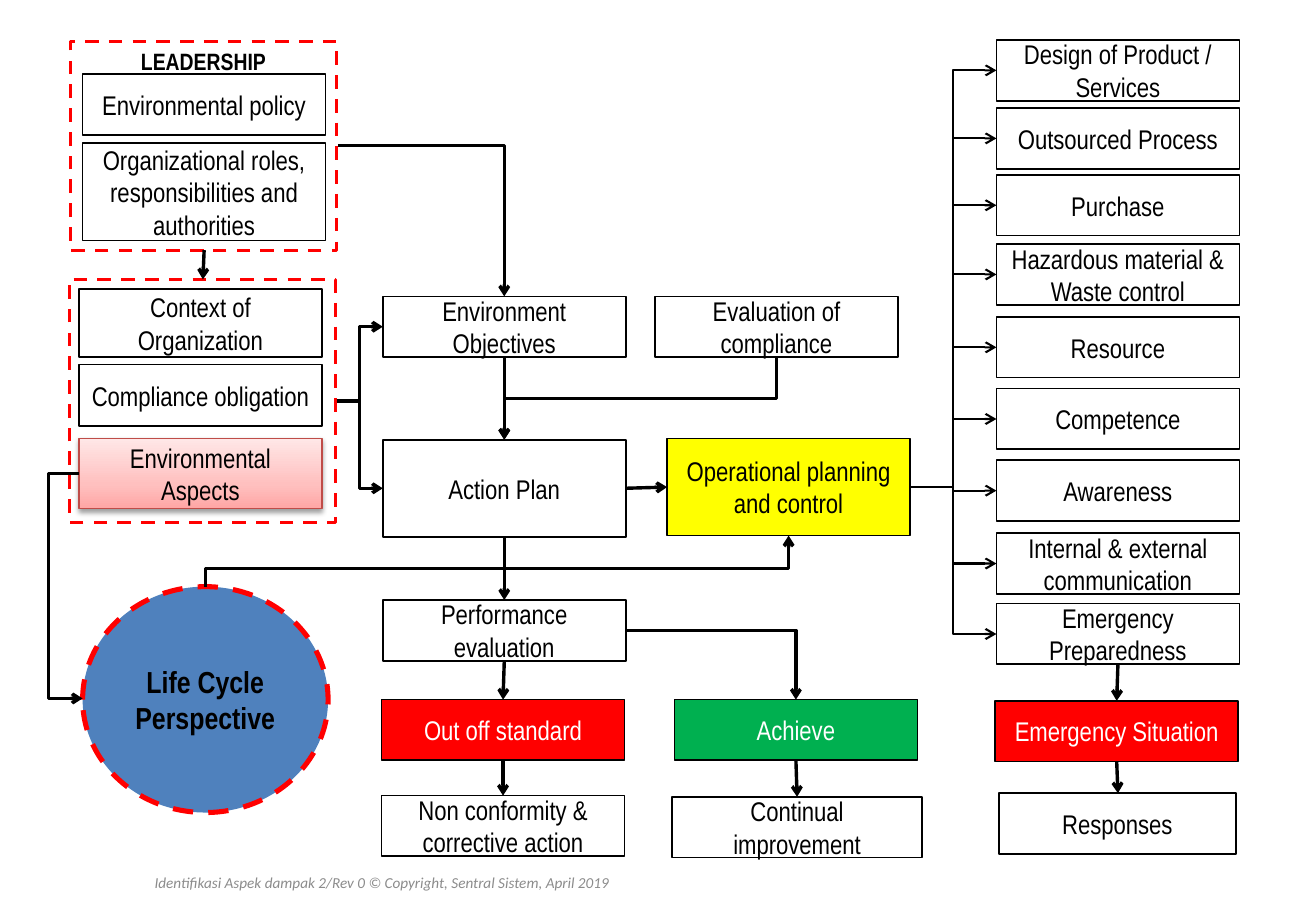
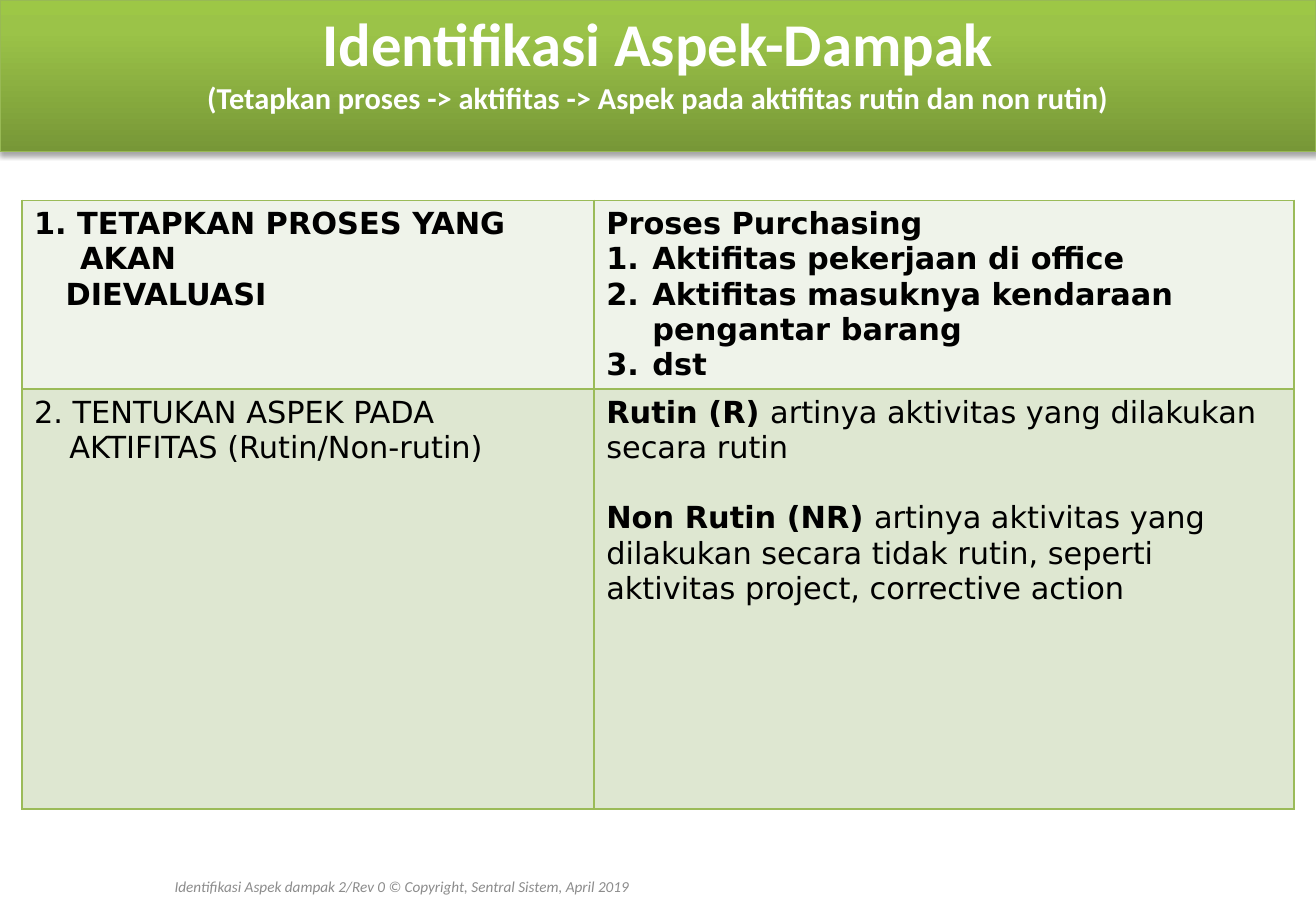
from lxml import etree
from pptx import Presentation
from pptx import util as u
from pptx.dml import color
from pptx.enum import dml, shapes, text
from pptx.oxml import ns

IN = u.Inches
FLOW = "Arial Narrow"
HEAD = "Calibri"
GRID = "DejaVu Sans"
BLACK, WHITE, RED, GREEN = "000000", "FFFFFF", "FF0000", "9BBB59"


def rgb(code):
    return color.RGBColor.from_string(code)


def sub(node, tag, **attrs):
    """Append a DrawingML child and return it."""
    child = etree.SubElement(node, ns.qn("a:" + tag))
    for key, value in attrs.items():
        child.set(key, str(value))
    return child


class Deck:
    def __init__(self):
        self.prs = Presentation()
        self.prs.slide_width, self.prs.slide_height = IN(10.83), IN(7.5)
        self.slide = None

    def page(self, layout):
        self.slide = self.prs.slides.add_slide(self.prs.slide_layouts[layout])

    def font(self, runs, face, size, ink=BLACK, bold=False, italic=False):
        for run in runs:
            font = run.font
            font.name, font.size = face, u.Pt(size)
            font.bold, font.italic = bold, italic
            font.color.rgb = rgb(ink)

    def edge(self, shape, ink=BLACK, width=1, dash=False):
        shape.line.color.rgb = rgb(ink)
        shape.line.width = u.Pt(width)
        if dash:
            shape.line.dash_style = dml.MSO_LINE.DASH

    def glow(self, shape, stops, alpha, dist):
        """Upward gradient with a soft shadow below."""
        shape.fill.gradient()
        shape.fill.gradient_angle = 90
        props = shape.element.spPr
        ramp = props.find(".//" + ns.qn("a:gsLst"))
        for old in list(ramp):
            ramp.remove(old)
        for pos, code in stops:
            sub(sub(ramp, "gs", pos=pos * 1000), "srgbClr", val=code)
        shape.shadow.inherit = False
        cast = sub(props.find(ns.qn("a:effectLst")), "outerShdw",
                   blurRad=u.Pt(3.1), dist=u.Pt(dist), dir=5400000, rotWithShape=0)
        sub(sub(cast, "srgbClr", val=BLACK), "alpha", val=alpha * 1000)

    def box(self, words, x, y, w=2, h=0.5, fill=None, ink=BLACK, size=16, bold=False,
            line=(BLACK, 1), kind=shapes.MSO_SHAPE.RECTANGLE, top=False):
        shape = self.slide.shapes.add_shape(kind, IN(x), IN(y), IN(w), IN(h))
        shape.shadow.inherit = False
        if fill:
            shape.fill.solid()
            shape.fill.fore_color.rgb = rgb(fill)
        else:
            shape.fill.background()
        self.edge(shape, *line)
        frame = shape.text_frame
        frame.word_wrap = True
        frame.vertical_anchor = text.MSO_ANCHOR.TOP if top else text.MSO_ANCHOR.MIDDLE
        frame.text = words
        para = frame.paragraphs[0]
        para.alignment = text.PP_ALIGN.CENTER
        self.font(para.runs, FLOW, size, ink, bold)
        return shape

    def arrow(self, start, end, kind="line", adj=0.5, width=2):
        """kind: line, side (across-down-across), drop (down-across-down), turn (across-down)."""
        (x1, y1), (x2, y2) = start, end
        if kind == "drop":
            # The same elbow, turned a quarter about its centre
            cx, cy = (x1 + x2) / 2, (y1 + y2) / 2
            x1, y1, x2, y2 = cx + y1 - cy, cy - x1 + cx, cx + y2 - cy, cy - x2 + cx
        form = shapes.MSO_CONNECTOR.STRAIGHT if kind == "line" else shapes.MSO_CONNECTOR.ELBOW
        link = self.slide.shapes.add_connector(form, IN(x1), IN(y1), IN(x2), IN(y2))
        props = link.element.spPr
        geom = props.find(ns.qn("a:prstGeom"))
        if kind == "drop":
            props.find(ns.qn("a:xfrm")).set("rot", "5400000")
        if kind == "turn":
            geom.set("prst", "bentConnector2")
        elif adj != 0.5:
            guides = geom.find(ns.qn("a:avLst"))
            if guides is None:
                guides = sub(geom, "avLst")
            sub(guides, "gd", name="adj1", fmla=f"val {round(adj * 100000)}")
        self.edge(link, BLACK, width)
        sub(props.find(ns.qn("a:ln")), "tailEnd", type="arrow")
        sub(props, "effectLst")

    def title(self, head, note):
        band = self.slide.shapes.title
        band.left, band.top, band.width, band.height = IN(0), IN(0), IN(10.83), IN(1.25)
        self.edge(band, "98B955", 0.75)
        self.glow(band, [(0, "779737"), (80, "9BC348"), (100, "9DC746")], 35, 1.8)
        frame = band.text_frame
        frame.auto_size = text.MSO_AUTO_SIZE.NONE
        frame.vertical_anchor = text.MSO_ANCHOR.TOP
        frame.text = f"{head}\n{note}"
        for para, size in zip(frame.paragraphs, (36, 18)):
            para.alignment = text.PP_ALIGN.CENTER
            self.font(para.runs, HEAD, size, WHITE, True)

    def foot(self, x, y, w, h):
        area = self.slide.shapes.add_textbox(IN(x), IN(y), IN(w), IN(h))
        frame = area.text_frame
        frame.word_wrap = True
        frame.vertical_anchor = text.MSO_ANCHOR.MIDDLE
        frame.text = "Identifikasi Aspek dampak 2/Rev 0 © Copyright, Sentral Sistem, April 2019"
        para = frame.paragraphs[0]
        para.alignment = text.PP_ALIGN.CENTER
        self.font(para.runs, HEAD, 9, "8C8C8C", italic=True)

    def cell(self, cell, fill, paras):
        """paras: (runs of (words, bold), left indent, hanging, numbered, space before)."""
        cell.fill.solid()
        cell.fill.fore_color.rgb = rgb(fill)
        props = cell._tc.get_or_add_tcPr()
        for spot, tag in enumerate(("lnL", "lnR", "lnT", "lnB")):
            rule = etree.Element(ns.qn("a:" + tag), w=str(u.Pt(1)))
            sub(sub(rule, "solidFill"), "srgbClr", val=GREEN)
            props.insert(spot, rule)
        frame = cell.text_frame
        for spot, (runs, left, hang, number, gap) in enumerate(paras):
            para = frame.add_paragraph() if spot else frame.paragraphs[0]
            style = para._p.get_or_add_pPr()
            style.set("marL", str(IN(left)))
            style.set("indent", str(-IN(hang)))
            if number:
                sub(style, "buAutoNum", type="arabicPeriod")
            if gap:
                para.space_before = u.Pt(gap)
            for words, bold in runs:
                run = para.add_run()
                run.text = words
                self.font([run], GRID, 18, BLACK, bold)

    def table(self, x, y, cols, rows, fills, cells):
        grid = self.slide.shapes.add_table(len(rows), len(cols), IN(x), IN(y),
                                           IN(sum(cols)), IN(sum(rows))).table
        grid.first_row = grid.horz_banding = False
        for col, width in zip(grid.columns, cols):
            col.width = IN(width)
        for r, high in enumerate(rows):
            grid.rows[r].height = IN(high)
            for c, paras in enumerate(cells[r]):
                self.cell(grid.cell(r, c), fills[r], paras)


def flow(deck):
    deck.page(6)
    frame = (RED, 2, True)

    # Leadership and context groups
    deck.box("LEADERSHIP", 0.58, 0.34, 2.19, 1.72, size=14, bold=True, line=frame, top=True)
    deck.box("Environmental policy", 0.68, 0.61)
    deck.box("Organizational roles, responsibilities and authorities", 0.68, 1.18, h=0.8)
    deck.box("", 0.57, 2.3, 2.19, 2, line=frame)
    deck.box("Context of Organization", 0.65, 2.38, h=0.56)
    deck.box("Compliance obligation", 0.65, 3, h=0.51)
    aspect = deck.box("Environmental Aspects", 0.65, 3.61, h=0.58, line=("BF4C48", 0.75))
    deck.glow(aspect, [(0, "FFA6A5"), (35, "FFC0BF"), (100, "FFE7E7")], 38, 1.6)
    deck.box("Life Cycle Perspective", 0.68, 4.83, 2.02, 1.86, "4F81BD", size=18, bold=True,
             line=(RED, 3, True), kind=shapes.MSO_SHAPE.OVAL)

    # Planning, evaluation and results
    deck.box("Environment Objectives", 3.15, 2.44)
    deck.box("Evaluation of compliance", 5.39, 2.44)
    deck.box("Action Plan", 3.15, 3.62, h=0.8)
    deck.box("Operational planning and control", 5.49, 3.61, h=0.8, fill="FFFF00")
    deck.box("Performance evaluation", 3.15, 4.94)
    deck.box("Out off standard", 3.14, 5.76, fill=RED, ink=WHITE)
    deck.box("Achieve", 5.55, 5.76, fill="00B050", ink=WHITE)
    deck.box("Non conformity & corrective action", 3.14, 6.55)
    deck.box("Continual improvement", 5.53, 6.56, 2.06)

    # Controls, fed from operational planning
    for words, y in (("Design of Product / Services", 0.33), ("Outsourced Process", 0.89),
                     ("Purchase", 1.44), ("Hazardous material & Waste control", 2.01),
                     ("Resource", 2.61), ("Competence", 3.2), ("Awareness", 3.79),
                     ("Internal & external communication", 4.39),
                     ("Emergency Preparedness", 4.97)):
        deck.box(words, 8.2, y)
        deck.arrow((7.49, 4.01), (8.2, y + 0.25), "side", width=1.25)
    deck.box("Emergency Situation", 8.19, 5.77, fill=RED, ink=WHITE)
    deck.box("Responses", 8.22, 6.53, 1.95)

    # Straight arrows
    for start, end in (((1.68, 2.06), (1.67, 2.3)), ((4.15, 2.94), (4.15, 3.62)),
                       ((5.15, 4.02), (5.49, 4.01)), ((4.15, 4.42), (4.15, 4.94)),
                       ((4.15, 5.44), (4.14, 5.76)), ((4.14, 6.26), (4.14, 6.55)),
                       ((6.55, 6.26), (6.56, 6.56)), ((9.2, 5.47), (9.19, 5.77)),
                       ((9.19, 6.27), (9.2, 6.53))):
        deck.arrow(start, end)

    # Bent arrows
    deck.arrow((2.77, 3.3), (3.15, 2.69), "side")
    deck.arrow((2.77, 3.3), (3.15, 4.02), "side")
    deck.arrow((2.78, 1.2), (4.15, 2.44), "turn")
    deck.arrow((5.15, 5.19), (6.55, 5.76), "turn")
    deck.arrow((6.39, 2.94), (4.15, 3.62), "drop")
    deck.arrow((1.69, 4.83), (6.49, 4.41), "drop", 0.35)
    deck.arrow((0.65, 3.9), (0.68, 5.75), "side", -8.33)
    deck.foot(0.25, 7.03, 5.78, 0.47)


def aspects(deck):
    deck.page(5)
    deck.title("Identifikasi Aspek-Dampak",
               "(Tetapkan proses -> aktifitas -> Aspek pada aktifitas rutin dan non rutin)")

    # Steps on the left, explanations on the right
    steps = ("Aktifitas pekerjaan di office",
             "Aktifitas masuknya kendaraan pengantar barang", "dst")
    first = [([("1. TETAPKAN PROSES YANG AKAN", True)], 0.38, 0.38, False, 0),
             ([("DIEVALUASI", True)], 0.26, 0, False, 0)]
    tasks = [([("Proses Purchasing", True)], 0, 0, False, 0)]
    tasks += [([(step, True)], 0.38, 0.38, True, 0) for step in steps]
    second = [([("2. TENTUKAN ASPEK PADA AKTIFITAS (Rutin/Non-rutin)", False)],
               0.29, 0.29, False, 0)]
    terms = [([("Rutin (R) ", True), ("artinya aktivitas yang dilakukan secara rutin", False)],
              0, 0, False, 0),
             ([("Non Rutin (NR) ", True),
               ("artinya aktivitas yang dilakukan secara tidak rutin, seperti "
                "aktivitas project, corrective action", False)], 0, 0, False, 21)]
    deck.table(0.18, 1.65, (4.71, 5.76), (1.55, 3.46), ("EFF3EA", "DEE7D1"),
               ((first, tasks), (second, terms)))
    deck.foot(0.1, 7.1, 6.41, 0.4)


def main():
    deck = Deck()
    flow(deck)
    aspects(deck)
    deck.prs.save("out.pptx")


if __name__ == "__main__":
    main()
